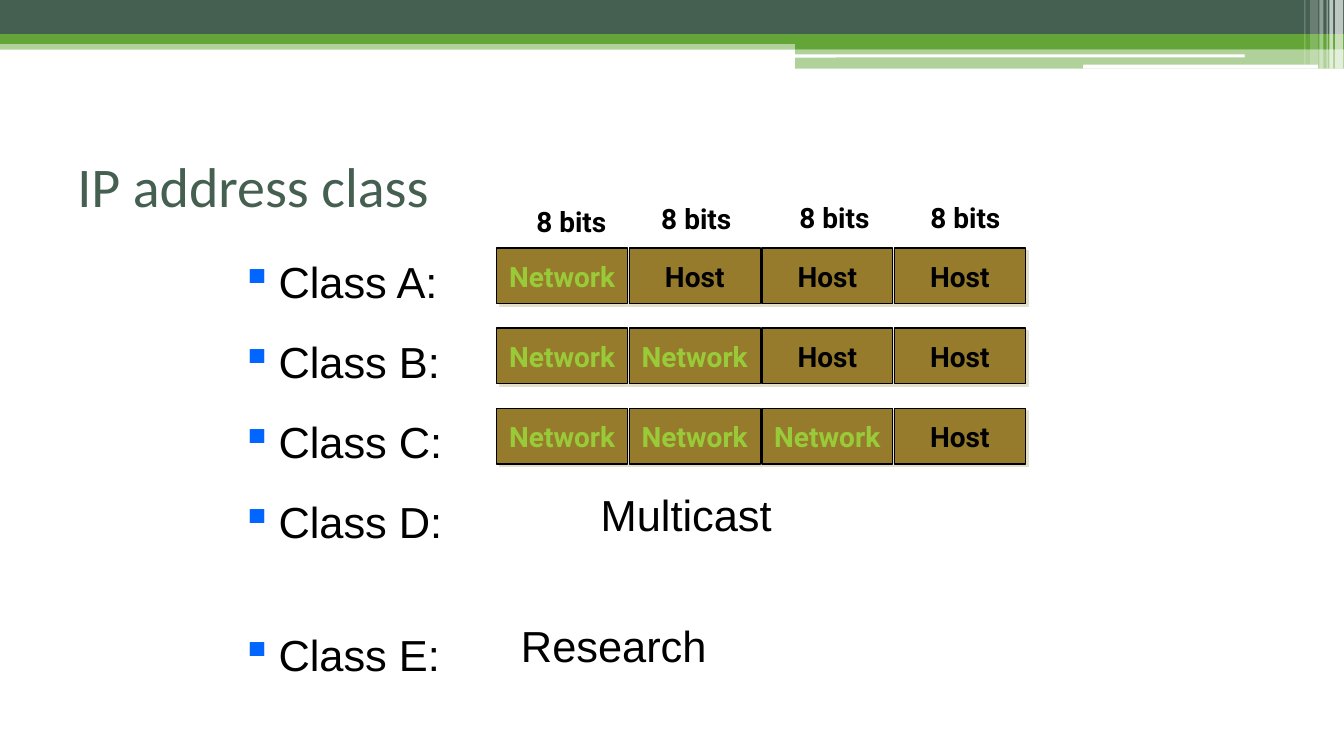
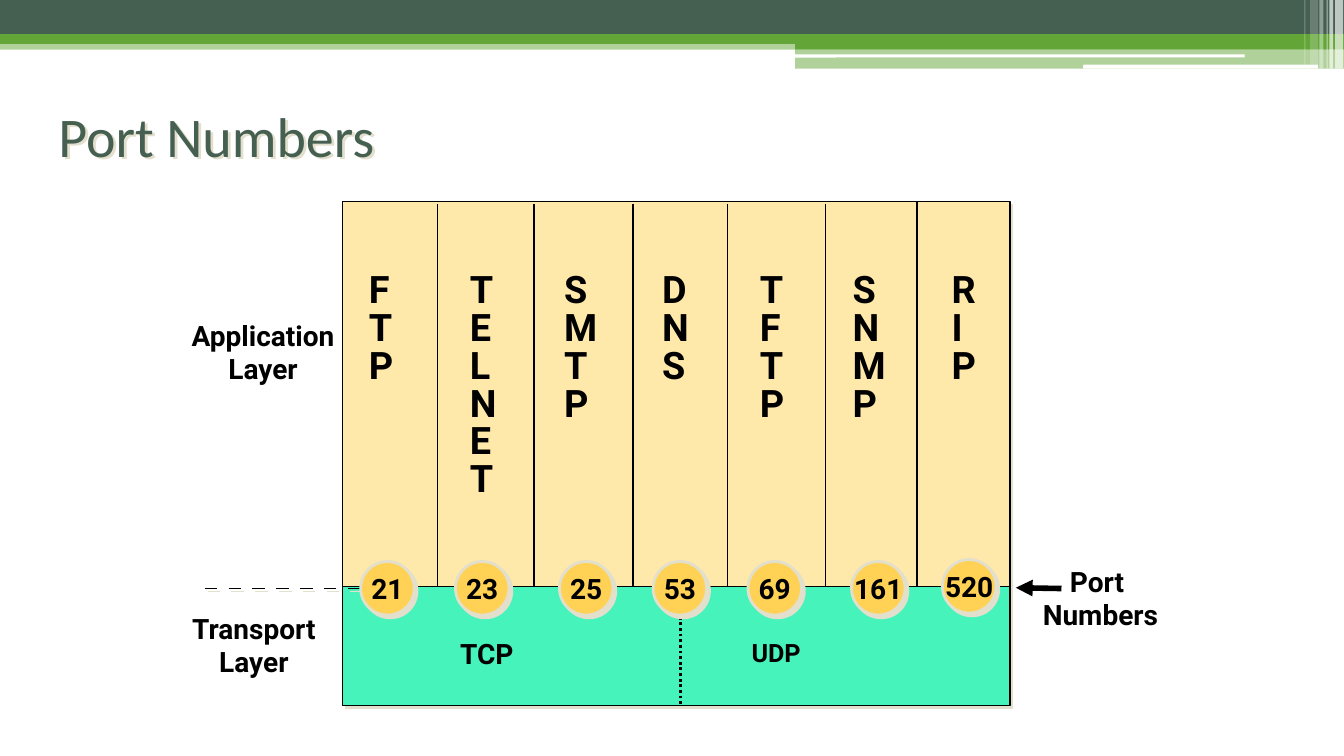
from typing import NamedTuple, Optional

from lxml.etree import SubElement
from pptx import Presentation
from pptx.dml.color import RGBColor
from pptx.enum.dml import MSO_LINE
from pptx.enum.shapes import MSO_CONNECTOR, MSO_SHAPE
from pptx.enum.text import MSO_ANCHOR, PP_ALIGN
from pptx.oxml.ns import qn
from pptx.shapes.autoshape import Shape
from pptx.shapes.connector import Connector
from pptx.slide import Slide
from pptx.text.text import TextFrame
from pptx.util import Cm, Pt

HUES = {
    "dark": "455F51",
    "green": "63A537",
    "lime": "99CB38",
    "white": "FFFFFF",
    "black": "000000",
    "brown": "977B2D",
    "cream": "FFE9AA",
    "mint": "45F3BB",
    "gold": "FFD255",
    "shade": "E2DFCC",
    "blue": "0066FF",
}


class Box(NamedTuple):
    x: float
    y: float
    w: float
    h: float


class Band(NamedTuple):
    box: Box
    fill: str
    alpha: int = 100
    kind: MSO_SHAPE = MSO_SHAPE.RECTANGLE


class Label(NamedTuple):
    text: str
    box: Box
    size: float = 20
    lead: float = 23.6


class Port(NamedTuple):
    name: str
    num: int
    left: float
    disc: float
    top: float = 14.15


BANDS = [
    Band(Box(0, 1.02, 33.87, 0.23), "green", 50),
    Band(Box(0, 0, 33.87, 0.86), "dark"),
    Band(Box(0, 0.86, 33.87, 0.25), "green"),
    Band(Box(20.04, 0.99, 13.83, 0.25), "green"),
    Band(Box(20.04, 1.22, 13.83, 0.51), "green", 50),
    Band(Box(20.02, 1.37, 11.35, 0.08), "white", kind=MSO_SHAPE.ROUNDED_RECTANGLE),
    Band(Box(27.3, 1.63, 5.92, 0.1), "white", kind=MSO_SHAPE.ROUNDED_RECTANGLE),
    Band(Box(33.65, 0, 0.2, 1.73), "white", 65),
    Band(Box(33.5, 0, 0.1, 1.73), "white", 65),
    Band(Box(33.43, 0, 0.03, 1.73), "white", 60),
    Band(Box(33.25, 0, 0.1, 1.73), "white", 40),
    Band(Box(33.02, 0, 0.2, 1.63), "white", 20),
    Band(Box(32.87, 0, 0.03, 1.63), "white", 30),
]

PORTS = [
    Port("FTP", 21, 9.25, 9.09),
    Port("TELNET", 23, 11.79, 11.48),
    Port("SMTP", 25, 14.17, 14.1),
    Port("DNS", 53, 16.64, 16.46),
    Port("TFTP", 69, 19.1, 18.85),
    Port("SNMP", 161, 21.44, 21.46),
    Port("RIP", 520, 23.93, 23.75, 14.1),
]

LABELS = [
    Label("TCP", Box(8.74, 15.98, 7.06, 1.4)),
    Label("UDP", Box(18.19, 15.98, 2.74, 1.32), 18, 21.4),
    Label("Port \vNumbers", Box(25.83, 14.17, 3.81, 2.24)),
    Label("Transport\vLayer", Box(4.01, 15.34, 4.78, 2.24)),
    Label("Application\vLayer", Box(4.24, 7.95, 4.78, 2.24)),
]


def tint(name: str) -> RGBColor:
    return RGBColor.from_string(HUES[name])


def write(
    frame: TextFrame,
    text: str,
    *,
    size: float = 20,
    color: str = "black",
    font: str = "Roboto",
    bold: bool = True,
    align: PP_ALIGN = PP_ALIGN.CENTER,
    anchor: MSO_ANCHOR = MSO_ANCHOR.MIDDLE,
    inset: tuple[float, float] = (0.05, 0.08),
    wrap: bool = True,
    lead: Optional[float] = None,
    gaps: tuple[float, ...] = (),
    mark: str = "",
) -> None:
    frame.word_wrap = wrap
    frame.vertical_anchor = anchor
    frame.margin_left = frame.margin_right = Cm(inset[0])
    frame.margin_top = frame.margin_bottom = Cm(inset[1])
    for i, line in enumerate(text.split("\n")):
        para = frame.add_paragraph() if i else frame.paragraphs[0]
        para.text = line
        para.alignment = align
        if mark:
            props = para._p.get_or_add_pPr()
            props.set("marL", str(Cm(0.95)))
            props.set("indent", str(-Cm(0.95)))
            hue = SubElement(props, qn("a:buClr"))
            SubElement(hue, qn("a:srgbClr"), val=HUES["blue"])
            SubElement(props, qn("a:buChar"), char=mark)
        if lead:
            para.line_spacing = Pt(lead)
        if gaps and i:
            para.space_before = Pt(gaps[i - 1])
        for run in para.runs:
            run.font.size = Pt(size)
            run.font.name = font
            run.font.bold = bold
            run.font.color.rgb = tint(color)


def shade(item: Shape | Connector) -> None:
    props = item._element.spPr
    for old in props.findall(qn("a:effectLst")):
        props.remove(old)
    group = SubElement(props, qn("a:effectLst"))
    drop = SubElement(
        group, qn("a:outerShdw"), blurRad="0", dist=str(Pt(2.8)),
        dir="2700000", algn="ctr", rotWithShape="0",
    )
    SubElement(drop, qn("a:srgbClr"), val=HUES["shade"])


def draw(
    slide: Slide,
    box: Box,
    fill: str,
    *,
    kind: MSO_SHAPE = MSO_SHAPE.RECTANGLE,
    edge: Optional[str] = "black",
    width: float = 1,
    alpha: int = 100,
    drop: bool = True,
) -> Shape:
    shape = slide.shapes.add_shape(kind, *map(Cm, box))
    shape.shadow.inherit = False
    shape.fill.solid()
    shape.fill.fore_color.rgb = tint(fill)
    if alpha < 100:
        hue = shape._element.spPr.find(qn("a:solidFill"))[0]
        SubElement(hue, qn("a:alpha"), val=str(alpha * 1000))
    if edge:
        shape.line.color.rgb = tint(edge)
        shape.line.width = Pt(width)
    else:
        shape.line.fill.background()
    if drop:
        shade(shape)
    return shape


def rule(
    slide: Slide, x1: float, y1: float, x2: float, y2: float, width: float = 1
) -> Connector:
    line = slide.shapes.add_connector(
        MSO_CONNECTOR.STRAIGHT, *map(Cm, (x1, y1, x2, y2))
    )
    line.line.color.rgb = tint("black")
    line.line.width = Pt(width)
    SubElement(line._element.spPr, qn("a:effectLst"))
    return line


def note(slide: Slide, box: Box, text: str, **style) -> Shape:
    shape = slide.shapes.add_textbox(*map(Cm, box))
    write(shape.text_frame, text, **style)
    return shape


def start(deck: Presentation, title: str, x: float, y: float) -> tuple[Slide, Shape]:
    slide = deck.slides.add_slide(deck.slide_layouts[6])
    for band in BANDS:
        draw(slide, band.box, band.fill, kind=band.kind, edge=None,
             alpha=band.alpha, drop=False)
    head = note(slide, Box(x, y, 30.48, 2.97), title, size=40, color="dark",
                font="Calibri", bold=False, align=PP_ALIGN.LEFT, inset=(0.25, 0.13))
    return slide, head


def classes(deck: Presentation) -> None:
    slide, _ = start(deck, "IP address class", 1.7, 3.18)
    plain = dict(size=31, font="Arial", bold=False, align=PP_ALIGN.LEFT,
                 anchor=MSO_ANCHOR.TOP)
    names = "\n".join(f"Class {key}:" for key in "ABCDE")
    note(slide, Box(5.84, 6.32, 6.4, 10.72), names, inset=(0.23, 0.1),
         gaps=(20.1, 20.1, 20.1, 57.2), mark="▪", **plain)
    for text, x, y in (("Multicast", 15.14, 12.31), ("Research", 13.13, 15.59)):
        note(slide, Box(x, y, 6, 1.4), text, inset=(0, 0), **plain)
    for row in range(3):
        for col in range(4):
            cell = draw(slide, Box(12.52 + 3.34 * col, 6.25 + 2.02 * row, 3.3, 1.4),
                        "brown")
            net = col <= row
            write(cell.text_frame, "Network" if net else "Host",
                  color="lime" if net else "black", wrap=False)
    for mid, top in ((14.4, 4.98), (17.55, 4.9), (21.03, 4.88), (24.33, 4.88)):
        note(slide, Box(mid - 1.25, top, 2.5, 1.22), "8 bits", lead=23.6, inset=(0, 0))


def ports(deck: Presentation) -> None:
    slide, head = start(deck, "Port Numbers", 1.22, 1.91)
    shade(head)
    draw(slide, Box(8.64, 5.08, 14.53, 9.8), "cream")
    draw(slide, Box(23.11, 5.08, 2.34, 9.96), "cream")
    draw(slide, Box(8.64, 14.78, 16.81, 3), "mint")
    for x in (11.02, 13.46, 15.95, 18.34, 20.8):
        rule(slide, x, 5.13, x, 14.78)
    for i in range(8):
        x = 5.16 + 0.6 * i
        shade(rule(slide, x, 14.83, x + 0.32, 14.83, 0.75))
    for label in LABELS:
        note(slide, label.box, label.text, size=label.size, lead=label.lead,
             anchor=MSO_ANCHOR.TOP)
    arrow = rule(slide, 26.75, 14.83, 25.6, 14.81, 4)
    SubElement(arrow.line._get_or_add_ln(), qn("a:tailEnd"), type="triangle")
    dots = rule(slide, 17.15, 15.54, 17.15, 17.81, 2)
    dots.line.dash_style = MSO_LINE.ROUND_DOT
    for port in PORTS:
        note(slide, Box(port.left, 6.81, 1.5, len(port.name) * 0.95 + 0.55),
             "\v".join(port.name), size=27, lead=27, align=PP_ALIGN.LEFT,
             anchor=MSO_ANCHOR.TOP)
        disc = draw(slide, Box(port.disc, port.top, 1.35, 1.35), "gold",
                    kind=MSO_SHAPE.OVAL, edge="shade", width=2)
        write(disc.text_frame, str(port.num), wrap=False)


def main() -> None:
    deck = Presentation()
    deck.slide_width, deck.slide_height = Cm(33.87), Cm(19.05)
    classes(deck)
    ports(deck)
    deck.save("out.pptx")


if __name__ == "__main__":
    main()
